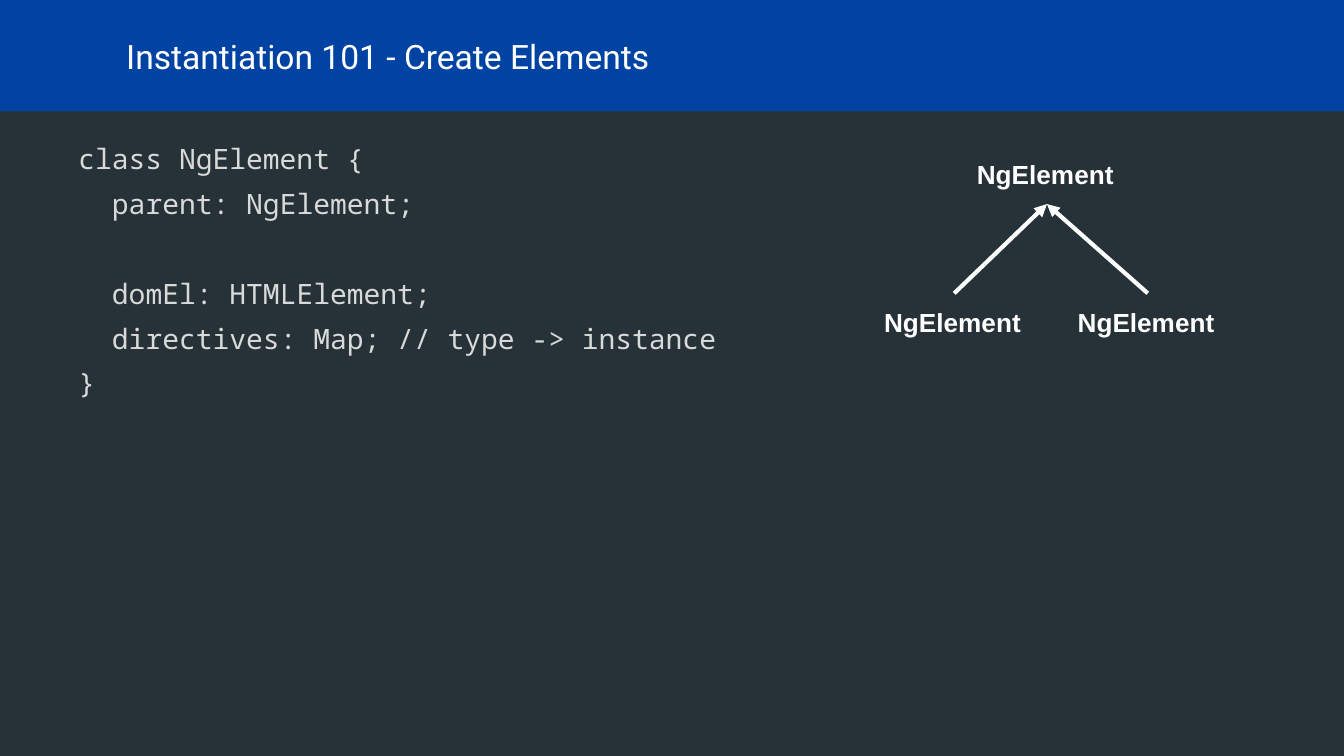
from lxml import etree
from pptx import Presentation
from pptx.dml.color import RGBColor
from pptx.enum.shapes import MSO_CONNECTOR, MSO_SHAPE
from pptx.enum.text import MSO_ANCHOR
from pptx.oxml.ns import qn
from pptx.util import Inches, Pt

RECTANGLE = MSO_SHAPE.RECTANGLE
STRAIGHT = MSO_CONNECTOR.STRAIGHT
TOP, MIDDLE = MSO_ANCHOR.TOP, MSO_ANCHOR.MIDDLE
TOP_SIDE, BOTTOM_SIDE = 0, 2

SLATE = RGBColor(0x26, 0x32, 0x38)
BLUE = RGBColor(0x01, 0x43, 0xA3)
WHITE = RGBColor(0xFF, 0xFF, 0xFF)
GREY = RGBColor(0xD9, 0xD9, 0xD9)

# Widescreen page, 16 by 9
deck = Presentation()
deck.slide_width = Inches(10)
deck.slide_height = deck.slide_width * 9 // 16
page = deck.slides.add_slide(deck.slide_layouts[6])
page.background.fill.solid()
page.background.fill.fore_color.rgb = SLATE

# Grid: one hundred columns by one hundred rows
COLUMN = deck.slide_width / 100
ROW = deck.slide_height / 100
HEADER_ROWS = 14.75


def place(left, top, width, height):
    return [round(v) for v in (left * COLUMN, top * ROW, width * COLUMN, height * ROW)]


def add_text(area, lines, font, size, color, bold=False, anchor=TOP):
    box = page.shapes.add_textbox(*place(*area))
    frame = box.text_frame
    frame.word_wrap = True
    frame.vertical_anchor = anchor
    frame.margin_left = frame.margin_right = Inches(0.1)
    frame.margin_top = frame.margin_bottom = Inches(0.1)
    for number, line in enumerate(lines):
        para = frame.add_paragraph() if number else frame.paragraphs[0]
        span = para.add_run()
        span.text = line
        span.font.name, span.font.size, span.font.bold = font, Pt(size), bold
        span.font.color.rgb = color
    return box


# Header band
band = page.shapes.add_shape(RECTANGLE, *place(0, 0, 100, HEADER_ROWS))
band.shadow.inherit = False
band.fill.solid()
band.fill.fore_color.rgb = BLUE
band.line.fill.background()

# Code: indent level, gap before in points, text
code = [
    (0, 6, "class NgElement {"),
    (1, 6, "parent: NgElement;"),
    (1, 30, "domEl: HTMLElement;"),
    (1, 6, "directives: Map; // type -> instance"),
    (0, 6, "}"),
]
listing = add_text((4.85, 17, 92.3, 76.5), [text for _, _, text in code],
                   "Noto Sans Mono", 15, GREY)
for para, (level, gap, _) in zip(listing.text_frame.paragraphs, code):
    para.space_before = Pt(gap)
    para.line_spacing = Pt(18)
    para._p.get_or_add_pPr().set("marL", str(Pt(18) * level))

# Title
add_text((8.4, 0, 87.2, HEADER_ROWS), ["Instantiation 101 - Create Elements"],
         "Roboto", 18, WHITE, anchor=MIDDLE)

# Element tree: parent first, then its children
parent, *children = [
    add_text((left, top, 12.4, 7.8), ["NgElement"], "Arial", 14, WHITE, bold=True)
    for left, top in ((71.7, 19.2), (64.8, 38.8), (79.2, 38.8))
]

# Arrows from each child to the parent
for child in children:
    arrow = page.shapes.add_connector(STRAIGHT, 0, 0, 0, 0)
    arrow.begin_connect(child, TOP_SIDE)
    arrow.end_connect(parent, BOTTOM_SIDE)
    arrow.line.color.rgb = WHITE
    arrow.line.width = Pt(2.25)
    etree.SubElement(arrow.line._get_or_add_ln(), qn("a:tailEnd"), type="triangle")
    etree.SubElement(arrow._element.spPr, qn("a:effectLst"))

deck.save("out.pptx")
